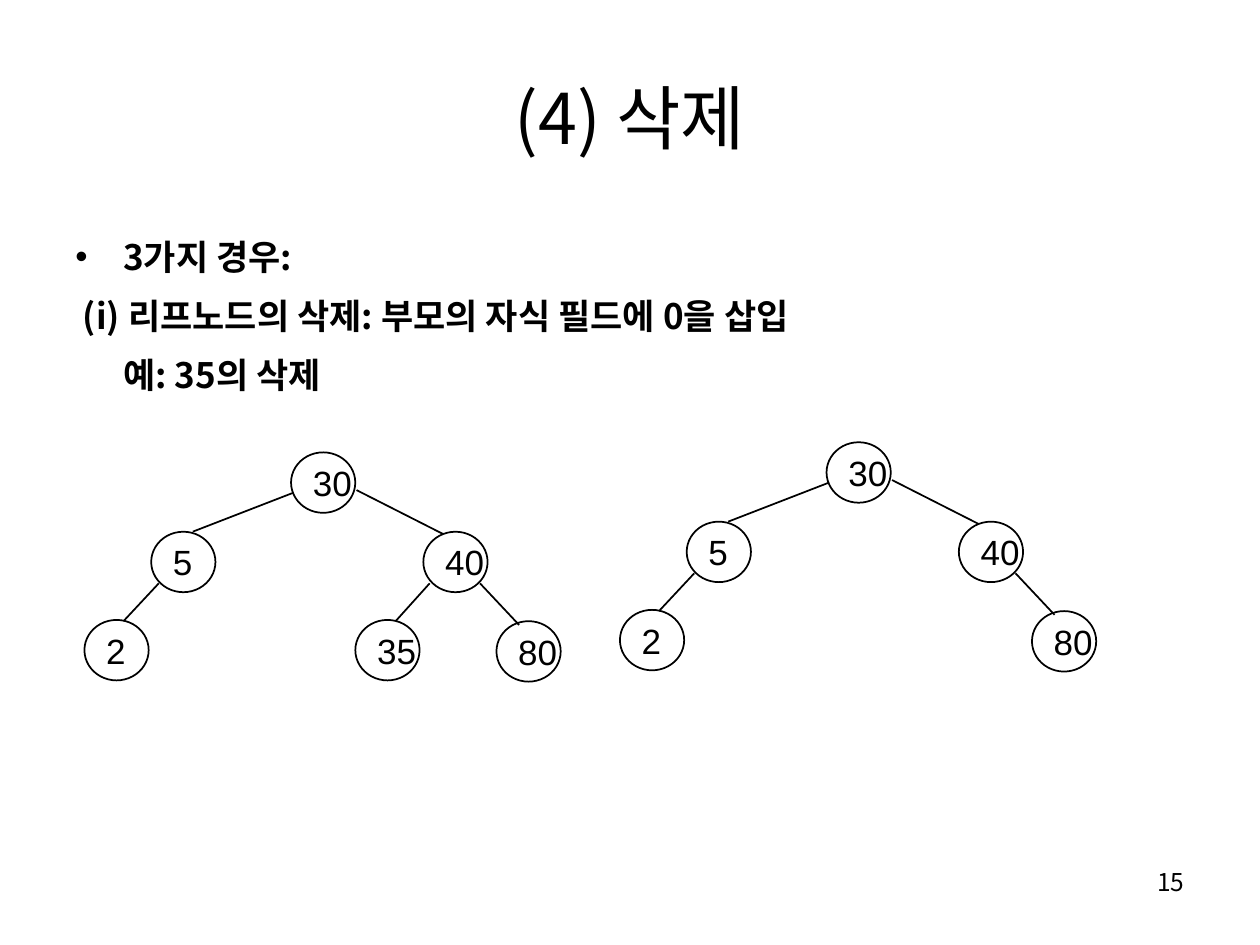
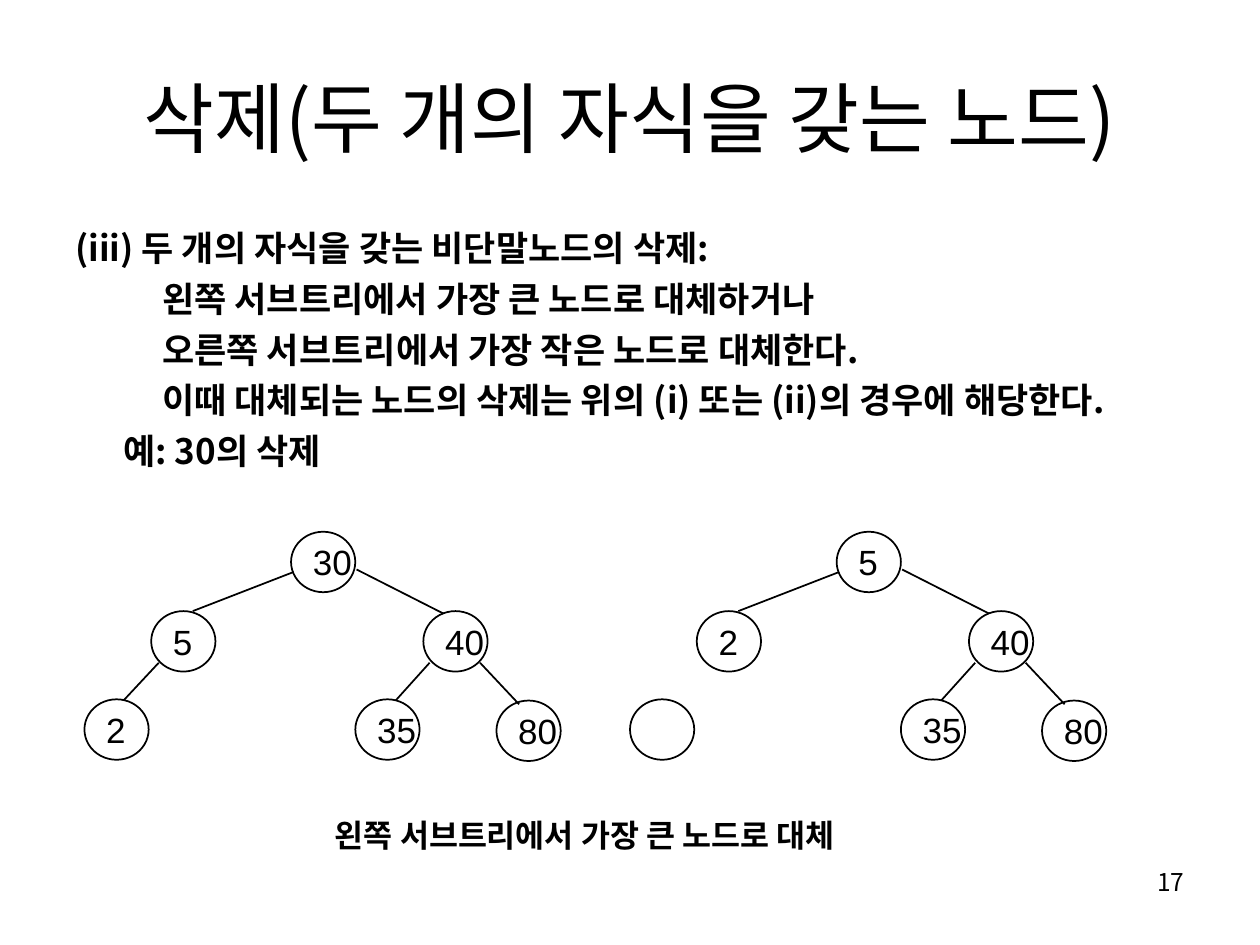
from lxml import etree
from pptx import Presentation
from pptx.dml.color import RGBColor
from pptx.enum.shapes import MSO_CONNECTOR, MSO_SHAPE
from pptx.enum.text import MSO_ANCHOR, PP_ALIGN
from pptx.oxml.ns import qn
from pptx.util import Inches, Pt

INK = "000000"
PAPER = "FFFFFF"
KOREAN = "Noto Sans CJK KR"
LATIN = "Arial"
NODE_W, NODE_H = 0.51, 0.48
HANGING = 0.38

NODES = {
    "root": (1.64, 0),
    "left": (0.53, 0.63),
    "left_left": (0, 1.33),
    "right": (2.69, 0.63),
    "right_right": (3.27, 1.34),
    "right_left": (2.15, 1.33),
}
EDGES = {
    "left": (1.66, 0.32, 0.86, 0.63),
    "left_left": (0.59, 1.04, 0.31, 1.34),
    "right": (2.16, 0.3, 2.85, 0.65),
    "right_right": (3.14, 1.04, 3.45, 1.37),
    "right_left": (2.74, 1.04, 2.47, 1.34),
}
FULL_TREE = {"root": "30", "left": "5", "left_left": "2",
             "right": "40", "right_right": "80", "right_left": "35"}
LEAF_REMOVED = {k: v for k, v in FULL_TREE.items() if k != "right_left"}
ROOT_REPLACED = {**FULL_TREE, "root": "5", "left": "2", "left_left": ""}


def color(value):
    return RGBColor.from_string(value)


def style(p, size, font=KOREAN, bold=False):
    for r in p.runs:
        r.font.size = Pt(size)
        r.font.name = font
        r.font.bold = bold
        r.font.color.rgb = color(INK)
        ea = etree.SubElement(r._r.get_or_add_rPr(), qn("a:ea"))
        ea.set("typeface", font)


def indent(p, margin, bullet=None):
    pPr = p._p.get_or_add_pPr()
    pPr.set("marL", str(Inches(margin)))
    pPr.set("indent", str(Inches(-margin if bullet else 0)))
    if bullet:
        etree.SubElement(pPr, qn("a:buFont")).set("typeface", LATIN)
        etree.SubElement(pPr, qn("a:buChar")).set("char", bullet)


def add_text(s, box, text, size, align=PP_ALIGN.LEFT,
             anchor=MSO_ANCHOR.TOP, bold=False):
    tf = s.shapes.add_textbox(*map(Inches, box)).text_frame
    tf.word_wrap = True
    tf.vertical_anchor = anchor
    tf.text = text
    for p in tf.paragraphs:
        p.alignment = align
        style(p, size, bold=bold)
    return tf


def add_body(s, box, lines, spacing):
    tf = add_text(s, box, "\n".join(text for text, *_ in lines), 20, bold=True)
    for p, (_, *layout) in zip(tf.paragraphs, lines):
        p.line_spacing = spacing
        p.space_before = Pt(5)
        indent(p, *layout)


def add_node(group, x, y, label):
    sp = group.shapes.add_shape(MSO_SHAPE.OVAL, Inches(x), Inches(y),
                                Inches(NODE_W), Inches(NODE_H))
    sp.shadow.inherit = False
    sp.fill.background()
    sp.line.color.rgb = color(INK)
    sp.line.width = Pt(1)
    if label:
        tf = sp.text_frame
        tf.word_wrap = False
        tf.vertical_anchor = MSO_ANCHOR.MIDDLE
        tf.text = label
        tf.paragraphs[0].alignment = PP_ALIGN.LEFT
        style(tf.paragraphs[0], 20, LATIN)


def add_edge(group, x1, y1, x2, y2):
    line = group.shapes.add_connector(
        MSO_CONNECTOR.STRAIGHT, *map(Inches, (x1, y1, x2, y2)))
    line.line.color.rgb = color(INK)
    line.line.width = Pt(1)
    etree.SubElement(line._element.spPr, qn("a:effectLst"))


def add_tree(s, x, y, labels):
    group = s.shapes.add_group_shape()
    for slot, label in labels.items():
        dx, dy = NODES[slot]
        add_node(group, x + dx, y + dy, label)
        if label and slot in EDGES:
            x1, y1, x2, y2 = EDGES[slot]
            add_edge(group, x + x1, y + y1, x + x2, y + y2)


def add_slide(prs, title, title_size, number):
    s = prs.slides.add_slide(prs.slide_layouts[6])
    s.background.fill.solid()
    s.background.fill.fore_color.rgb = color(PAPER)
    add_text(s, (7.17, 6.83, 2.33, 0.52), number, 14, PP_ALIGN.RIGHT)
    add_text(s, (0.5, 0.3, 9, 1.25), title, title_size, PP_ALIGN.CENTER,
             MSO_ANCHOR.MIDDLE)
    return s


def leaf_slide(prs):
    s = add_slide(prs, "(4) 삭제", 40, "15")
    add_body(s, (0.5, 1.75, 8.75, 4.95), [
        ("3가지 경우:", HANGING, "•"),
        ("(i) 리프노드의 삭제: 부모의 자식 필드에 0을 삽입", 0.06),
        ("예: 35의 삭제", HANGING),
    ], 1.2)
    add_tree(s, 0.67, 3.59, FULL_TREE)
    add_tree(s, 4.92, 3.51, LEAF_REMOVED)


def two_children_slide(prs):
    s = add_slide(prs, "삭제(두 개의 자식을 갖는 노드)", 44, "17")
    add_body(s, (0.5, 1.75, 9, 4.95), [
        ("(iii) 두 개의 자식을 갖는 비단말노드의 삭제:", 0),
        ("왼쪽 서브트리에서 가장 큰 노드로 대체하거나", 0.69),
        ("오른쪽 서브트리에서 가장 작은 노드로 대체한다.", 0.69),
        ("이때 대체되는 노드의 삭제는 위의 (i) 또는 (ii)의 경우에 해당한다.", 0.69),
        ("예: 30의 삭제", HANGING),
    ], 1.0)
    add_tree(s, 0.67, 4.22, FULL_TREE)
    add_tree(s, 5, 4.22, ROOT_REPLACED)
    add_text(s, (2.56, 6.43, 4.88, 0.4),
             "왼쪽 서브트리에서 가장 큰 노드로 대체", 18, bold=True)


def main():
    prs = Presentation()
    prs.slide_width = Inches(10)
    prs.slide_height = Inches(7.5)
    leaf_slide(prs)
    two_children_slide(prs)
    prs.save("out.pptx")


if __name__ == "__main__":
    main()
